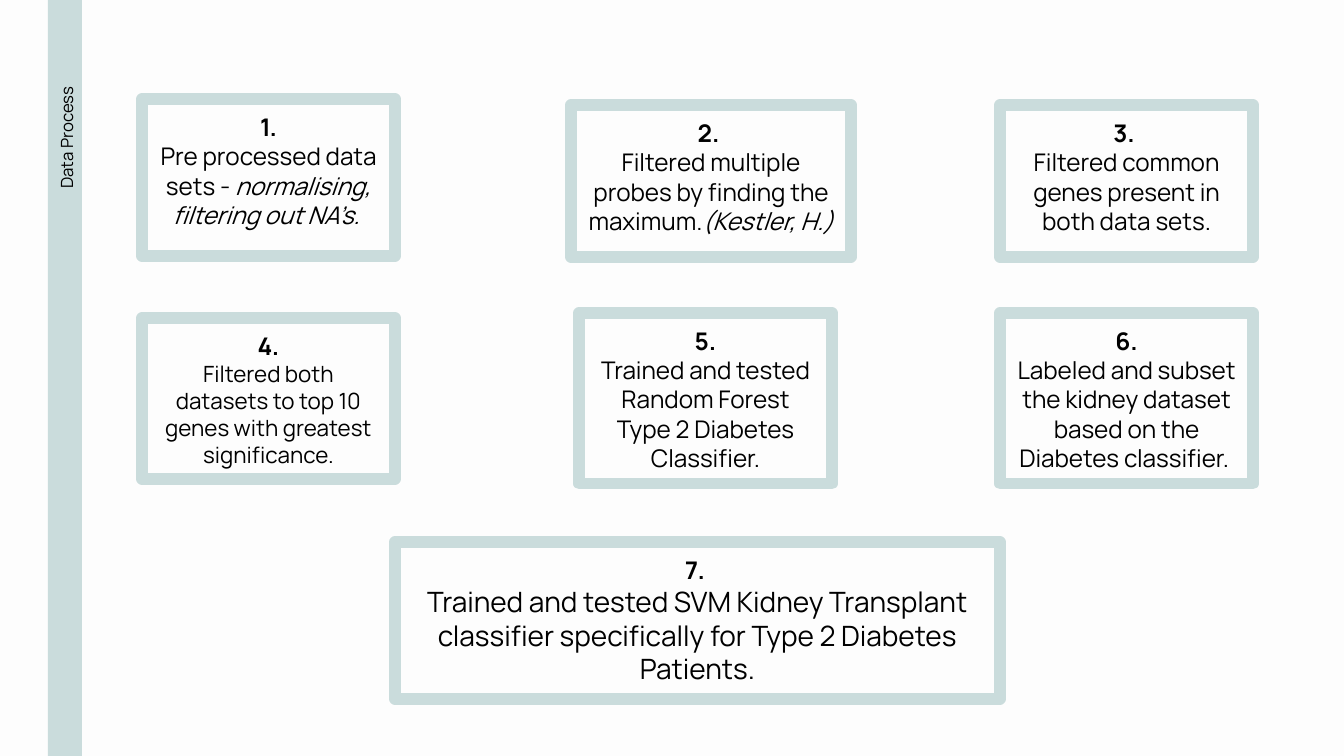
"""Build the data process slide with seven numbered step boxes."""
import pptx
import pptx.dml.color
import pptx.enum.shapes
import pptx.enum.text
import pptx.util

PX = 914400 / 134.4
SIZE = 1344, 756
FONT, INK, PAPER, MINT = "Manrope", "000000", "FDFDFD", "CADCDC"
TITLE = "Data Process"
BAR = 48, -7, 34, 770
LEFT, RIGHT, WIDE = 142, 1000, 253
STEPS = [
    ((LEFT, 99, WIDE, 157), "1.", 13,
     "Pre processed data sets - ", "normalising, filtering out NA’s. "),
    ((571, 105, 280, 152), "2. ", 13,
     "Filtered multiple probes by finding the maximum.", "(Kestler, H.)"),
    ((RIGHT, 105, WIDE, 152), "3. ", 13,
     "Filtered common genes present in both data sets.", ""),
    ((LEFT, 318, WIDE, 161), "4.", 12,
     "Filtered both datasets to top 10 genes with greatest significance.", ""),
    ((579, 313, WIDE, 171), "5.", 13,
     "Trained and tested Random Forest Type 2 Diabetes Classifier.", ""),
    ((RIGHT, 313, WIDE, 171), "6.", 13,
     "Labeled and subset the kidney dataset based on the Diabetes classifier. ", ""),
    ((395, 542, 605, 157), "7. ", 15,
     "Trained and tested SVM Kidney Transplant classifier "
     "specifically for Type 2 Diabetes Patients.", ""),
]
ALIGN = pptx.enum.text.PP_ALIGN
ANCHOR = pptx.enum.text.MSO_ANCHOR


def emu(px):
    """Turn px into EMU."""
    return pptx.util.Emu(round(px * PX))


def paint(color, value):
    """Set a colour from a hex string."""
    color.rgb = pptx.dml.color.RGBColor.from_string(value)


def write(para, text, size=13, bold=False, italic=False, align=ALIGN.CENTER):
    """Add a run of text to a paragraph."""
    para.alignment = align
    run = para.add_run()
    run.text = text
    font = run.font
    font.name, font.size = FONT, pptx.util.Pt(size)
    font.bold, font.italic = bold, italic
    paint(font.color, INK)


def frame(shape, anchor):
    """Prepare the text frame of a shape."""
    body = shape.text_frame
    body.word_wrap = True
    body.auto_size = pptx.enum.text.MSO_AUTO_SIZE.NONE
    body.vertical_anchor = anchor
    inset = pptx.util.Inches(0.1)
    body.margin_left = body.margin_right = inset
    body.margin_top = body.margin_bottom = inset
    return body


def block(slide, place):
    """Add a plain rectangle."""
    shape = slide.shapes.add_shape(
        pptx.enum.shapes.MSO_SHAPE.RECTANGLE, *map(emu, place))
    shape.shadow.inherit = False
    return shape


def step(slide, place, label, size, plain, slant):
    """Add one outlined step box with its text."""
    box = block(slide, place)
    box.fill.background()
    paint(box.line.color, MINT)
    box.line.width = pptx.util.Pt(6)
    body = frame(box, ANCHOR.TOP)
    write(body.paragraphs[0], label, bold=True)
    para = body.add_paragraph()
    write(para, plain, size=size)
    if slant:
        write(para, slant, size=size, italic=True)


def main():
    """Build and save the slide."""
    deck = pptx.Presentation()
    deck.slide_width, deck.slide_height = map(emu, SIZE)
    slide = deck.slides.add_slide(deck.slide_layouts[5])
    back = slide.background.fill
    back.solid()
    paint(back.fore_color, PAPER)

    bar = block(slide, BAR)
    bar.fill.solid()
    paint(bar.fill.fore_color, MINT)
    bar.line.fill.background()

    for item in STEPS:
        step(slide, *item)

    title = slide.shapes.title
    title.left, title.top, title.width, title.height = map(emu, (-250, 374, 633, 31))
    title.rotation = 270
    body = frame(title, ANCHOR.MIDDLE)
    write(body.paragraphs[0], TITLE, size=9, align=ALIGN.RIGHT)
    title.element.getparent().append(title.element)

    deck.save("out.pptx")


if __name__ == "__main__":
    main()
